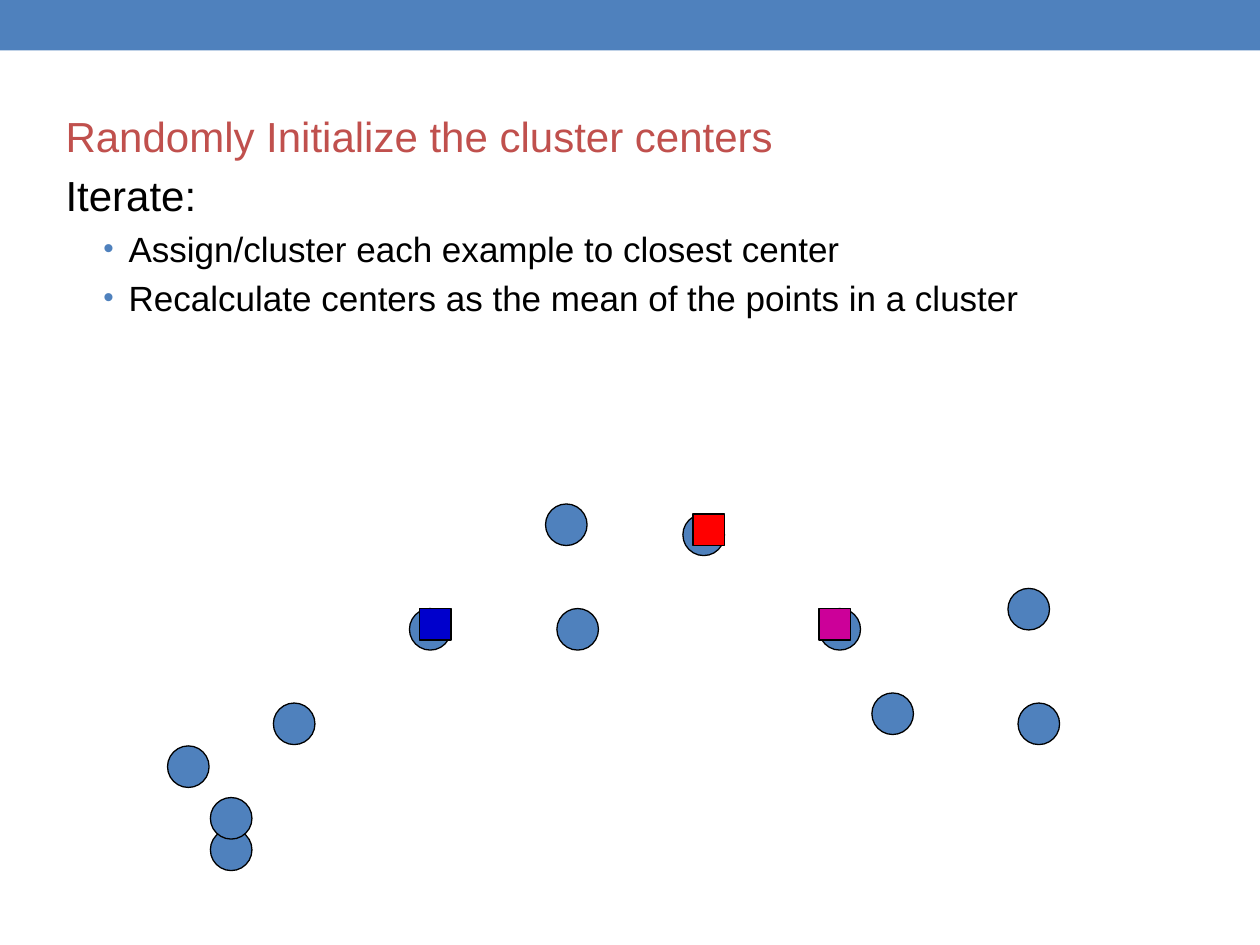
from lxml import etree
from pptx import Presentation
from pptx.dml.color import RGBColor
from pptx.enum.shapes import MSO_SHAPE
from pptx.enum.text import MSO_ANCHOR, MSO_AUTO_SIZE
from pptx.oxml.ns import qn
from pptx.util import Inches, Pt

RECTANGLE, OVAL = MSO_SHAPE.RECTANGLE, MSO_SHAPE.OVAL
TOP, NO_AUTOFIT = MSO_ANCHOR.TOP, MSO_AUTO_SIZE.NONE
COLORS = {
    "blue": "4F81BD", "heading": "C0504D", "black": "000000",
    "navy": "0000CC", "red": "FF0000", "magenta": "CC0099",
}


def add_block(page, kind, left, top, width, height, color, outlined=True):
    block = page.shapes.add_shape(
        kind, Inches(left), Inches(top), Inches(width), Inches(height))
    block.shadow.inherit = False
    block.fill.solid()
    block.fill.fore_color.rgb = RGBColor.from_string(COLORS[color])
    if outlined:
        block.line.color.rgb = RGBColor.from_string(COLORS["black"])
        block.line.width = Pt(0.75)
    else:
        block.line.fill.background()


def set_bullet(para, bulleted):
    props = para._p.get_or_add_pPr()
    props.set("marL", str(Inches(0.5 if bulleted else 0)))
    props.set("indent", str(Inches(-0.2 if bulleted else 0)))
    if not bulleted:
        etree.SubElement(props, qn("a:buNone"))
        return
    color = etree.SubElement(props, qn("a:buClr"))
    etree.SubElement(color, qn("a:srgbClr"), val=COLORS["blue"])
    etree.SubElement(props, qn("a:buSzPct"), val="85000")
    etree.SubElement(props, qn("a:buFont"), typeface="Arial")
    etree.SubElement(props, qn("a:buChar"), char="•")


deck = Presentation()
deck.slide_width, deck.slide_height = Inches(10), Inches(7.5)
page = deck.slides.add_slide(deck.slide_layouts[1])

# The slide has body text but no title
title = page.shapes.title
title._element.getparent().remove(title._element)

# Top band
add_block(page, RECTANGLE, 0, 0, 10, 0.4, "blue", outlined=False)

# Algorithm steps
body = page.placeholders[1]
body.left, body.top = Inches(0.42), Inches(0.83)
body.width, body.height = Inches(8.92), Inches(2.33)
frame = body.text_frame
for name, value in {"word_wrap": True, "auto_size": NO_AUTOFIT,
                    "vertical_anchor": TOP}.items():
    setattr(frame, name, value)

steps = [
    ("Randomly Initialize the cluster centers", 0, 24, "heading"),
    ("Iterate:", 0, 24, "black"),
    ("Assign/cluster each example to closest center", 1, 20, "black"),
    ("Recalculate centers as the mean of the points in a cluster", 1, 20, "black"),
]
for index, (text, level, size, color) in enumerate(steps):
    para = frame.paragraphs[0] if index == 0 else frame.add_paragraph()
    para.level = level
    set_bullet(para, level == 1)
    span = para.add_run()
    span.text = text
    for name, value in {"name": "Arial", "size": Pt(size)}.items():
        setattr(span.font, name, value)
    span.font.color.rgb = RGBColor.from_string(COLORS[color])

# Data points
points = [
    (1.67, 6.58), (1.33, 5.92), (2.17, 5.58), (8, 4.67), (4.33, 4), (5.42, 4.08),
    (4.42, 4.83), (3.25, 4.83), (8.08, 5.58), (6.5, 4.83), (1.67, 6.33), (6.92, 5.5),
]
for left, top in points:
    add_block(page, OVAL, left, top, 0.33, 0.33, "blue")

# Cluster centers
centers = [(3.33, 4.83, "navy"), (5.5, 4.08, "red"), (6.5, 4.83, "magenta")]
for left, top, color in centers:
    add_block(page, RECTANGLE, left, top, 0.25, 0.25, color)

deck.save("out.pptx")
